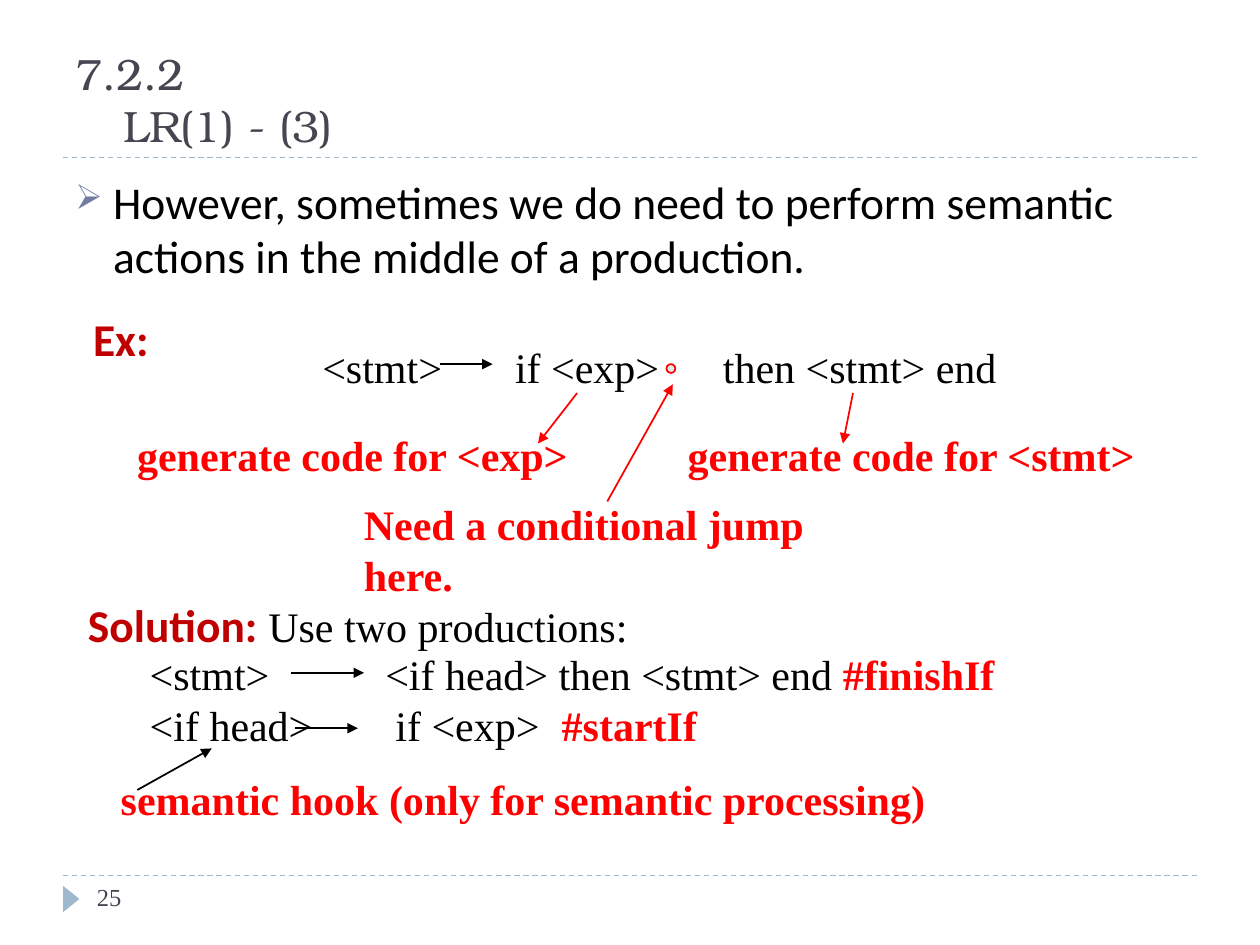
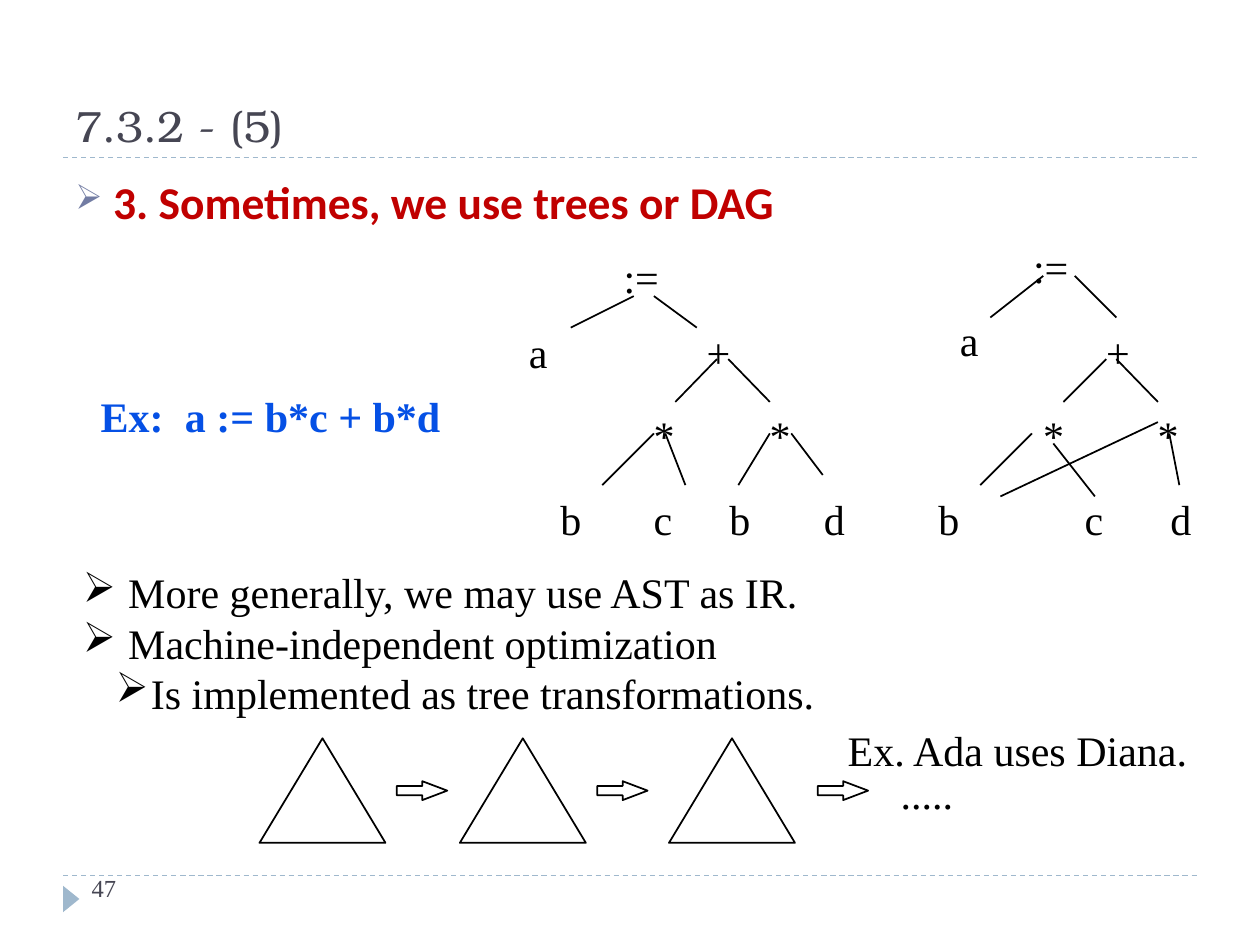
from dataclasses import dataclass

from lxml.etree import SubElement
from pptx import Presentation
from pptx.dml.color import RGBColor
from pptx.enum.dml import MSO_LINE
from pptx.enum.shapes import MSO_CONNECTOR as Connector, MSO_SHAPE as Shape
from pptx.enum.text import MSO_ANCHOR as Anchor
from pptx.oxml.ns import qn
from pptx.util import Inches, Pt


@dataclass(frozen=True)
class Theme:
    ink: str = "000000"
    title: str = "464653"
    rule: str = "9FB8CD"
    bullet: str = "727CA3"
    heading: str = "C00000"
    note: str = "FF0000"
    example: str = "0550E5"
    dot: str = "DDE9EC"
    serif: str = "Times New Roman"
    sans: str = "Calibri"
    display: str = "TeX Gyre Bonum"
    text_size: int = 24
    body_size: int = 26
    title_size: int = 25
    number_size: int = 14
    thin: float = 0.75
    stroke: float = 1


THEME = Theme()


def span(text, size=THEME.text_size, font=THEME.serif, color=THEME.ink, bold=False):
    return text, size, font, color, bold


def note(text):
    return span(text, color=THEME.note, bold=True)


def body(text, **style):
    return span(text, size=THEME.body_size, font=THEME.sans, **style)


def heading(text):
    return body(text, color=THEME.heading, bold=True)


class Builder:
    def __init__(self, deck, theme):
        self.deck = deck
        self.theme = theme
        self.page = None

    def start(self, title, number, number_at):
        theme = self.theme
        self.page = self.deck.slides.add_slide(self.deck.slide_layouts[6])
        for y in (6.95, 1.25):
            self.line((0.5, y), (9.5, y), theme.rule, width=theme.thin, dashed=True)
        marker = self.shape(Shape.ISOSCELES_TRIANGLE, (0.46, 7.07, 0.21, 0.13), fill=theme.rule)
        marker.rotation = 90
        box = self.text((0.5, 0.17, 9, 1.08),
                        [span(title, size=theme.title_size, font=theme.display, color=theme.title)],
                        indent=(0.38, -0.38))
        box.text_frame.vertical_anchor = Anchor.BOTTOM
        self.text((*number_at, 2.17, 0.4),
                  [span(number, size=theme.number_size, color=theme.title)])

    def text(self, at, *paragraphs, wrap=True, **layout):
        box = self.page.shapes.add_textbox(*map(Inches, at))
        frame = box.text_frame
        frame.word_wrap = wrap
        for index, spans in enumerate(paragraphs):
            para = frame.add_paragraph() if index else frame.paragraphs[0]
            self.layout(para, **layout)
            for content in spans:
                self.add_span(para, *content)
        return box

    def layout(self, para, indent=None, bullet=None, bullet_scale=100, tabs=()):
        properties = para._p.get_or_add_pPr()
        if indent:
            properties.set("marL", str(Inches(indent[0])))
            properties.set("indent", str(Inches(indent[1])))
        if bullet:
            color = SubElement(properties, qn("a:buClr"))
            SubElement(color, qn("a:srgbClr"), val=bullet)
            SubElement(properties, qn("a:buSzPct"), val=str(bullet_scale * 1000))
            SubElement(properties, qn("a:buChar"), char="➢")
        if tabs:
            stops = SubElement(properties, qn("a:tabLst"))
            for stop in tabs:
                SubElement(stops, qn("a:tab"), pos=str(Inches(stop)), algn="l")

    def add_span(self, para, text, size, font, color, bold):
        for index, part in enumerate(text.split("\n")):
            if index:
                para.add_line_break()
            run = para.add_run()
            run.text = part
            run.font.size = Pt(size)
            run.font.name = font
            run.font.bold = bold
            run.font.color.rgb = RGBColor.from_string(color)

    def bullet(self, content):
        self.text((0.5, 1.33, 9, 5.4), [content], indent=(0.3, -0.3),
                  bullet=self.theme.bullet, bullet_scale=76)

    def line(self, start, end, color=THEME.ink, width=THEME.stroke, arrow=False, dashed=False):
        line = self.page.shapes.add_connector(
            Connector.STRAIGHT, *map(Inches, (*start, *end)))
        line.line.color.rgb = RGBColor.from_string(color)
        line.line.width = Pt(width)
        if dashed:
            line.line.dash_style = MSO_LINE.DASH
        properties = line._element.spPr
        if arrow:
            SubElement(properties.get_or_add_ln(), qn("a:tailEnd"), type="triangle")
        SubElement(properties, qn("a:effectLst"))

    def shape(self, kind, at, fill=None, color=None):
        return self.paint(self.page.shapes.add_shape(kind, *map(Inches, at)), fill, color)

    def outline(self, points):
        first, *rest = [tuple(map(Inches, point)) for point in points]
        builder = self.page.shapes.build_freeform(*first)
        builder.add_line_segments(rest, close=True)
        return self.paint(builder.convert_to_shape(), None, self.theme.ink)

    def paint(self, shape, fill, color):
        shape.shadow.inherit = False
        if fill:
            shape.fill.solid()
            shape.fill.fore_color.rgb = RGBColor.from_string(fill)
        else:
            shape.fill.background()
        if color:
            shape.line.color.rgb = RGBColor.from_string(color)
            shape.line.width = Pt(self.theme.stroke)
        else:
            shape.line.fill.background()
        return shape

    def tree(self, nodes, edges):
        widths = {":=": 0.48, "+": 0.39}
        for label, x, y in nodes:
            self.text((x, y, widths.get(label, 0.36), 0.5), [span(label)], wrap=False)
        for start, end in edges:
            self.line(start, end)


def semantic_hooks(builder):
    theme = builder.theme
    builder.start("7.2.2\nLR(1) - (3)", "25", (0.67, 6.95))
    builder.bullet(body("However, sometimes we do need to perform semantic "
                        "actions in the middle of a production."))
    builder.text((2.46, 2.66, 6, 0.5), [span("<stmt>\tif <exp>\tthen <stmt> end")],
                 tabs=(1.53, 3.18))
    builder.shape(Shape.OVAL, (5.29, 2.89, 0.07, 0.07), theme.dot, theme.note)
    for x, y, label in (
        (0.99, 3.36, "generate code for <exp>"),
        (2.79, 3.91, "Need a conditional jump here."),
        (5.36, 3.36, "generate code for <stmt>"),
    ):
        builder.text((x, y, 4.2, 0.5), [note(label)], wrap=True)
    for start, end in (
        ((4.58, 3.12), (4.27, 3.52)),
        ((4.82, 3.98), (5.34, 3.05)),
        ((6.77, 3.12), (6.69, 3.52)),
    ):
        builder.line(start, end, theme.note, arrow=True)
    builder.text((0.64, 2.42, 0.9, 0.54), [heading("Ex:")])
    builder.text((0.6, 4.69, 5.2, 0.53),
                 [heading("Solution:"), span(" Use two productions:")])
    for y, stops, spans in (
        (5.1, (1.87,), [span("<stmt>\t<if head> then <stmt> end "), note("#finishIf")]),
        (5.5, (1.95, 3.27), [span("<if head>\tif <exp>\t"), note("#startIf")]),
    ):
        builder.text((1.09, y, 7.5, 0.5), spans, tabs=stops)
    builder.text((0.86, 6.09, 8.2, 0.5), [note("semantic hook (only for semantic processing)")])
    for start, end in (
        ((3.49, 2.89), (3.91, 2.89)),
        ((1.09, 6.27), (1.68, 5.94)),
        ((2.31, 5.34), (2.89, 5.34)),
        ((2.34, 5.78), (2.84, 5.78)),
    ):
        builder.line(start, end, arrow=True)


def trees_and_graphs(builder):
    theme = builder.theme
    builder.start("7.3.2 - (5)", "47", (0.63, 6.88))
    builder.bullet(heading("3. Sometimes, we use trees or DAG"))
    builder.text((0.7, 3.05, 3.2, 0.5),
                 [span("Ex:\ta := b*c + b*d", color=theme.example, bold=True)], tabs=(0.67,))
    sum_y, product_y, leaf_y = 2.54, 3.2, 3.87
    builder.tree(
        [(":=", 4.85, 1.95), ("a", 4.1, sum_y), ("+", 5.51, sum_y),
         ("*", 5.09, product_y), ("*", 6.01, product_y),
         ("b", 4.35, leaf_y), ("c", 5.09, leaf_y), ("b", 5.69, leaf_y), ("d", 6.44, leaf_y)],
        [((5.03, 2.35), (4.53, 2.6)), ((5.19, 2.35), (5.53, 2.6)),
         ((5.69, 2.85), (5.36, 3.19)), ((5.78, 2.85), (6.11, 3.19)),
         ((5.19, 3.44), (4.78, 3.85)), ((5.28, 3.44), (5.44, 3.85)),
         ((6.11, 3.44), (5.86, 3.85)), ((6.28, 3.44), (6.53, 3.77))])
    builder.tree(
        [(":=", 8.1, 1.87), ("a", 7.52, 2.45), ("+", 8.68, sum_y),
         ("*", 8.18, product_y), ("*", 9.09, product_y),
         ("b", 7.35, leaf_y), ("c", 8.51, leaf_y), ("d", 9.19, leaf_y)],
        [((8.28, 2.19), (7.86, 2.52)), ((8.53, 2.19), (8.86, 2.52)),
         ((8.78, 2.85), (8.44, 3.19)), ((8.86, 2.85), (9.19, 3.19)),
         ((8.19, 3.44), (7.78, 3.85)), ((8.36, 3.52), (8.69, 3.94)),
         ((9.19, 3.35), (7.94, 3.94)), ((9.28, 3.44), (9.36, 3.85))])
    builder.text((0.56, 4.45, 7, 0.9),
                 [span("More generally, we may use AST as IR.")],
                 [span("Machine-independent optimization")],
                 indent=(0.36, -0.36), bullet=theme.ink)
    builder.text((0.56, 5.25, 7, 0.5), [span("Is implemented as tree transformations.")],
                 indent=(0.54, -0.28), bullet=theme.ink)
    for tree_x, arrow_x in ((2.06, 3.15), (3.65, 4.74), (5.31, 6.49)):
        builder.outline([(tree_x + 0.5, 5.86), (tree_x, 6.69), (tree_x + 1, 6.69)])
        arrow = builder.shape(Shape.RIGHT_ARROW, (arrow_x, 6.2, 0.4, 0.15), color=theme.ink)
        arrow.adjustments[1] = 1.32
    builder.text((7.05, 6.04, 0.8, 0.5), [span(".....")])
    builder.text((6.63, 5.7, 3.1, 0.5), [span("Ex. Ada uses Diana.")])


def main():
    deck = Presentation()
    deck.slide_width, deck.slide_height = Inches(10), Inches(7.5)
    builder = Builder(deck, THEME)
    semantic_hooks(builder)
    trees_and_graphs(builder)
    deck.save("out.pptx")


if __name__ == "__main__":
    main()
